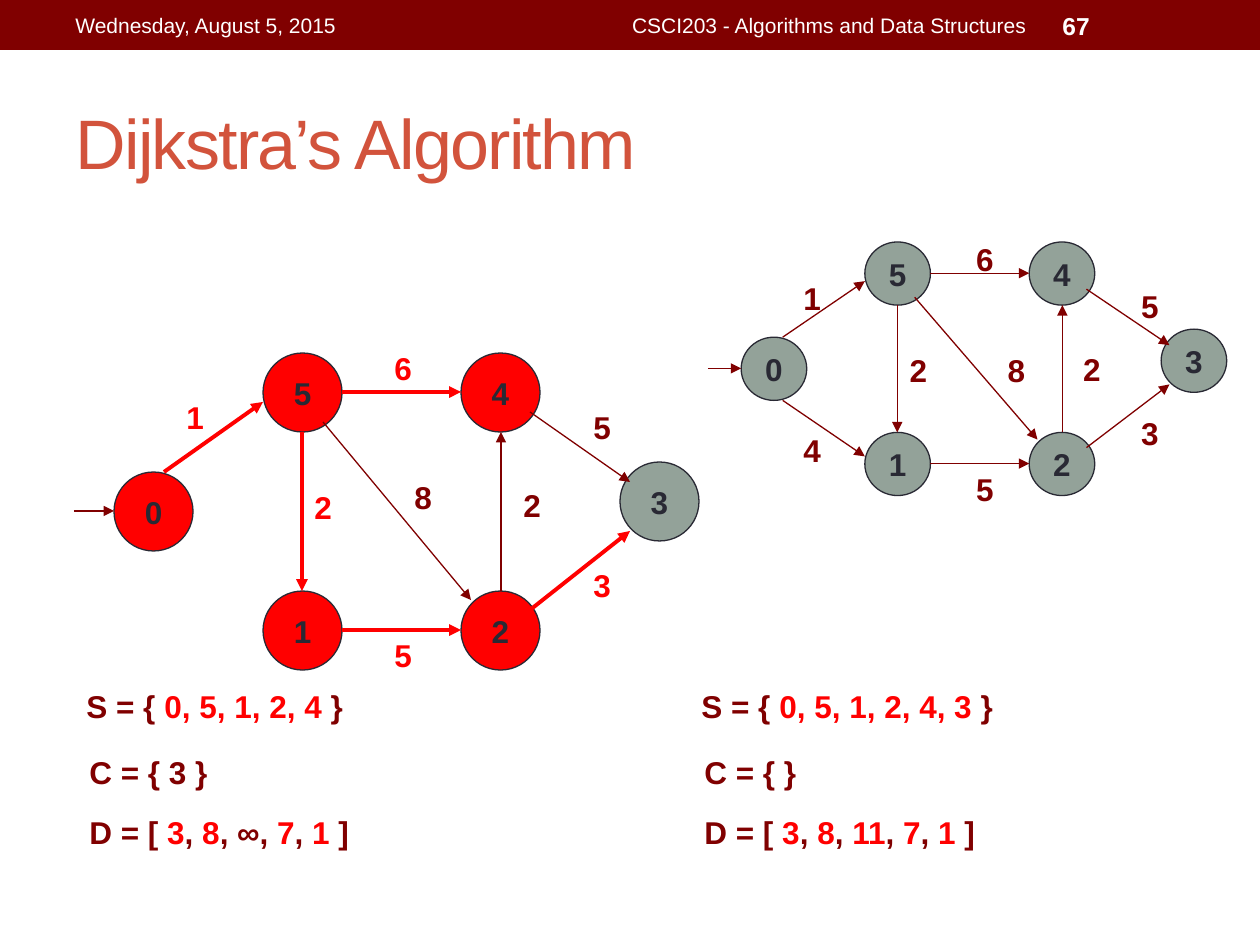
from itertools import cycle

from lxml import etree
from pptx import Presentation
from pptx import util as u
from pptx.dml.color import RGBColor
from pptx.enum import shapes, text
from pptx.oxml.ns import qn

PX = u.Inches(1) / 126
FONT = "Arial"
COLOURS = {
    "maroon": "800000",
    "red": "FF0000",
    "grey": "93A299",
    "ink": "292934",
    "title": "D2533C",
    "white": "FFFFFF",
}

# Graph geometry in px, relative to the graph's top left corner
NODE_SIZE = 79
LABEL_WIDTH, LABEL_HEIGHT = 49, 50
NODES = {
    "0": (40, 119), "1": (189, 238), "5": (189, 0),
    "2": (387, 238), "3": (546, 109), "4": (387, 0),
}
# (from node, to node): start, end, weight, weight position
EDGES = {
    ("0", "5"): ((90, 119), (189, 49), "1", (100, 39)),
    ("0", "1"): ((90, 198), (189, 268), "4", (100, 228)),
    ("5", "1"): ((228, 79), (228, 238), "2", (228, 129)),
    ("1", "2"): ((268, 277), (387, 277), "5", (308, 277)),
    ("5", "2"): ((249, 69), (397, 247), "8", (328, 119)),
    ("2", "3"): ((456, 257), (556, 178), "3", (507, 207)),
    ("2", "4"): ((427, 238), (427, 79), "2", (437, 127)),
    ("4", "3"): ((456, 59), (556, 129), "5", (507, 49)),
    ("5", "4"): ((268, 39), (387, 39), "6", (308, -10)),
}
ENTRY = ((0, 158), (40, 158))

# Runs alternate between maroon and red
STATES = {
    74: (
        ("S = { ", "0, 5, 1, 2, 4", " }"),
        ("C = { 3 }",),
        ("D = [ ", "3", ", ", "8", ", ∞, ", "7", ", ", "1", " ]"),
    ),
    689: (
        ("S = { ", "0, 5, 1, 2, 4, 3", " }"),
        ("C = { }",),
        ("D = [ ", "3", ", ", "8", ", ", "11", ", ", "7", ", ", "1", " ]"),
    ),
}
STATE_WIDTH = 340
STATE_ROWS = ((0, 681), (3, 747), (3, 807))  # indent, top


def emu(*lengths):
    return [u.Emu(round(length * PX)) for length in lengths]


def rgb(name):
    return RGBColor.from_string(COLOURS[name])


def add_run(paragraph, words, colour, size=18, bold=True):
    run = paragraph.add_run()
    run.text = words
    run.font.name = FONT
    run.font.size = u.Pt(size)
    run.font.bold = bold
    run.font.color.rgb = rgb(colour)
    return run


def add_text(slide, box, runs, size=18, bold=True, wrap=True,
             anchor=text.MSO_ANCHOR.TOP, align=text.PP_ALIGN.LEFT):
    """Add a one-line text box; runs are (words, colour) pairs."""
    frame = slide.shapes.add_textbox(*emu(*box)).text_frame
    frame.word_wrap = wrap
    frame.vertical_anchor = anchor
    paragraph = frame.paragraphs[0]
    paragraph.alignment = align
    for words, colour in runs:
        add_run(paragraph, words, colour, size, bold)


def add_header(slide):
    bar = slide.shapes.add_shape(shapes.MSO_SHAPE.RECTANGLE, *emu(0, 0, 1260, 50))
    bar.shadow.inherit = False
    bar.fill.solid()
    bar.fill.fore_color.rgb = rgb("maroon")
    bar.line.fill.background()
    left, right = text.PP_ALIGN.LEFT, text.PP_ALIGN.RIGHT
    for x, width, words, size, bold, align in (
        (63, 399, "Wednesday, August 5, 2015", 12, False, left),
        (472, 567, "CSCI203 - Algorithms and Data Structures", 12, False, right),
        (1050, 147, "67", 14, True, left),
    ):
        add_text(slide, (x, 3, width, 45), [(words, "white")], size, bold,
                 anchor=text.MSO_ANCHOR.MIDDLE, align=align)


def set_title(slide, words):
    title = slide.shapes.title
    title.left, title.top, title.width, title.height = emu(63, 73, 1134, 136)
    title.text_frame.vertical_anchor = text.MSO_ANCHOR.MIDDLE
    paragraph = title.text_frame.paragraphs[0]
    paragraph.alignment = text.PP_ALIGN.LEFT
    run = add_run(paragraph, words, "title", 40, False)
    run.font._element.set("spc", "-100")


def add_node(slide, box, name, colour):
    node = slide.shapes.add_shape(shapes.MSO_SHAPE.OVAL, *emu(*box))
    node.shadow.inherit = False
    node.fill.solid()
    node.fill.fore_color.rgb = rgb(colour)
    node.line.color.rgb = rgb("ink")
    node.line.width = u.Pt(0.75)
    frame = node.text_frame
    frame.word_wrap = False
    frame.vertical_anchor = text.MSO_ANCHOR.MIDDLE
    frame.paragraphs[0].alignment = text.PP_ALIGN.CENTER
    add_run(frame.paragraphs[0], name, "ink")


def add_arrow(slide, start, end, colour="maroon", width=0.75):
    arrow = slide.shapes.add_connector(
        shapes.MSO_CONNECTOR.STRAIGHT, *emu(*start, *end))
    arrow.line.color.rgb = rgb(colour)
    arrow.line.width = u.Pt(width)
    etree.SubElement(arrow.line._get_or_add_ln(), qn("a:tailEnd"), type="triangle")
    etree.SubElement(arrow._element.spPr, qn("a:effectLst"))


def add_graph(slide, origin, scale=(1, 1), visited="", chosen=(), hidden=(),
              moved=None):
    """Draw the graph; moved maps an edge to a new place for its weight."""
    moved = moved or {}

    def place(point):
        return [o + s * p for o, s, p in zip(origin, scale, point)]

    for name, corner in NODES.items():
        size = [NODE_SIZE * s for s in scale]
        add_node(slide, (*place(corner), *size), name,
                 "red" if name in visited else "grey")
    add_arrow(slide, *map(place, ENTRY))
    for edge, (start, end, weight, spot) in EDGES.items():
        if edge in hidden:
            continue
        colour, width = ("red", 2.25) if edge in chosen else ("maroon", 0.75)
        add_arrow(slide, place(start), place(end), colour, width)
        box = (*place(moved.get(edge, spot)), LABEL_WIDTH * scale[0], LABEL_HEIGHT)
        add_text(slide, box, [(weight, colour)])


def add_state(slide, left, lines):
    for (indent, top), parts in zip(STATE_ROWS, lines):
        add_text(slide, (left + indent, top, STATE_WIDTH, 50),
                 zip(parts, cycle(("maroon", "red"))))


def main():
    deck = Presentation()
    deck.slide_width, deck.slide_height = emu(1260, 945)
    slide = deck.slides.add_slide(deck.slide_layouts[5])
    add_header(slide)
    set_title(slide, "Dijkstra’s Algorithm")
    add_graph(slide, (708, 242), scale=(0.83, 0.8), moved={("5", "2"): (346, 128)})
    add_graph(
        slide, (74, 353), visited="05124",
        chosen={("0", "5"), ("5", "1"), ("1", "2"), ("5", "4"), ("2", "3")},
        hidden={("0", "1")},
    )
    for left, lines in STATES.items():
        add_state(slide, left, lines)
    deck.save("out.pptx")


if __name__ == "__main__":
    main()
